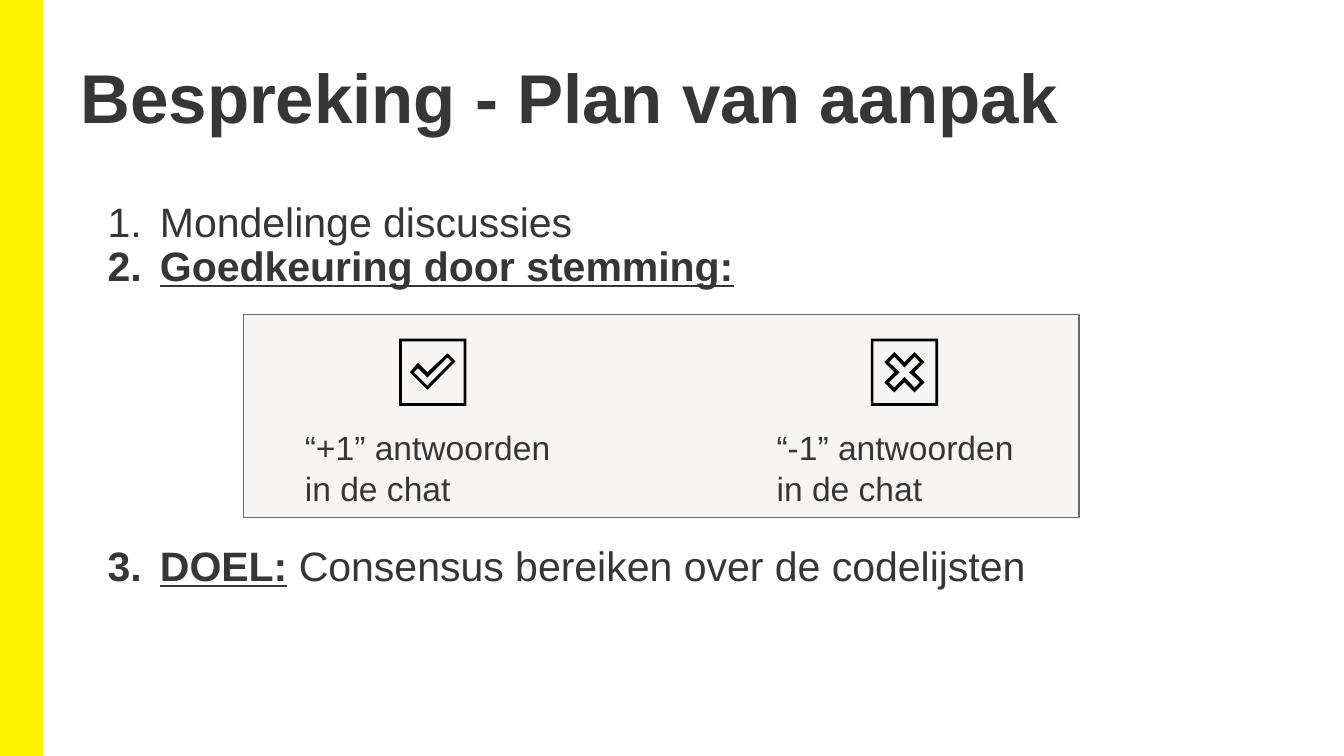
import pptx
import pptx.dml.color
import pptx.enum.shapes
import pptx.enum.text
import pptx.oxml
import pptx.oxml.ns
import pptx.util

UNIT = 0.1  # inches per grid column and row
COLUMNS, ROWS = 100, 56.25
FINE = 100  # drawing steps per grid unit
INK, YELLOW, PANEL, PANEL_EDGE, BLACK = "373636", "FFF200", "F6F5F3", "6B6B6B", "000000"


def grid(count):
    return pptx.util.Inches(count * UNIT)


def color(value):
    return pptx.dml.color.RGBColor.from_string(value)


def paint(shape, fill, edge=None, width=1):
    shape.shadow.inherit = False
    shape.fill.solid()
    shape.fill.fore_color.rgb = color(fill)
    if edge:
        shape.line.color.rgb = color(edge)
        shape.line.width = pptx.util.Pt(width)
    else:
        shape.line.fill.background()


def add_panel(slide, column, row, columns, rows, **look):
    panel = slide.shapes.add_shape(pptx.enum.shapes.MSO_SHAPE.RECTANGLE,
                                   *map(grid, (column, row, columns, rows)))
    paint(panel, **look)


def place(box, column, row, columns, rows):
    """Position a text box or placeholder and set its frame."""
    box.left, box.top, box.width, box.height = map(grid, (column, row, columns, rows))
    frame = box.text_frame
    frame.auto_size = pptx.enum.text.MSO_AUTO_SIZE.NONE
    frame.word_wrap = True
    frame.vertical_anchor = pptx.enum.text.MSO_ANCHOR.TOP
    frame.margin_left = frame.margin_right = grid(1)
    frame.margin_top = frame.margin_bottom = grid(1)
    return frame


def write(paragraph, text, size, bold=False, underline=False, spacing=None, before=0):
    paragraph.alignment = pptx.enum.text.PP_ALIGN.LEFT
    paragraph.space_before = pptx.util.Pt(before)
    if spacing:
        paragraph.line_spacing = spacing
    run = paragraph.add_run()
    run.text = text
    font = run.font
    font.name, font.size = "Arial", pptx.util.Pt(size)
    font.bold, font.underline = bold, underline
    font.color.rgb = color(INK)


def number(paragraph):
    """Turn the paragraph into an item of a numbered list."""
    properties = paragraph._p.get_or_add_pPr()
    properties.set("marL", str(grid(5)))
    properties.set("indent", str(-grid(3.9)))
    namespace = pptx.oxml.ns.nsdecls("a")
    for xml in (f'<a:buClr {namespace}><a:srgbClr val="{INK}"/></a:buClr>',
                f'<a:buFont {namespace} typeface="Arial"/>',
                f'<a:buAutoNum {namespace} type="arabicPeriod"/>'):
        properties.append(pptx.oxml.parse_xml(xml))


def square(inset):
    far = 5 - inset
    return [(inset, inset), (inset, far), (far, far), (far, inset)]


def cross(notch, tip_x, tip_y, side_x, side_y):
    """Repeat one arm of a diagonal cross in four quarter turns."""
    points = []
    arm = [(0, notch), (tip_x, tip_y), (side_x, side_y)]
    for _ in range(4):
        points += [(2.5 + x, 2.5 + y) for x, y in arm]
        arm = [(-y, x) for x, y in arm]
    return points


def add_icon(slide, column, row, symbol):
    """Draw a framed symbol, its contours given in grid units."""
    builder = None
    for points in [square(0), square(0.2)] + symbol:
        start, *rest = [((column + x) * FINE, (row + y) * FINE) for x, y in points]
        if builder is None:
            builder = slide.shapes.build_freeform(*start, scale=grid(1) / FINE)
        else:
            builder.move_to(*start)
        builder.add_line_segments(rest, close=True)
    paint(builder.convert_to_shape(), BLACK)


def add_choice(slide, column, label, symbol):
    add_icon(slide, column + 8, 25.2, symbol)
    box = slide.shapes.add_textbox(0, 0, 0, 0)
    frame = place(box, column, 30.8, 21, 7.7)
    write(frame.paragraphs[0], label, 18)


def add_agenda(body):
    frame = place(body, 5.9, 14, 88.2, 9.2)
    items = [
        (0, [("Mondelinge discussies", False)]),
        (0, [("Goedkeuring door stemming:", True)]),
        (137, [("DOEL:", True), (" Consensus bereiken over de codelijsten", False)]),
    ]
    for index, (before, parts) in enumerate(items):
        paragraph = frame.add_paragraph() if index else frame.paragraphs[0]
        number(paragraph)
        for text, strong in parts:
            write(paragraph, text, 22, bold=strong, underline=strong,
                  spacing=0.9, before=before)


def main():
    presentation = pptx.Presentation()
    presentation.slide_width, presentation.slide_height = grid(COLUMNS), grid(ROWS)
    slide = presentation.slides.add_slide(presentation.slide_layouts[1])

    add_panel(slide, 0, 0, 3.1, ROWS, fill=YELLOW, edge=YELLOW)
    add_panel(slide, 18.1, 23.4, 62.2, 15.1, fill=PANEL, edge=PANEL_EDGE, width=0.75)

    title = place(slide.shapes.title, 5, 2.9, 81.1, 9.2)
    write(title.paragraphs[0], "Bespreking - Plan van aanpak", 37, bold=True, spacing=1.03)
    add_agenda(slide.placeholders[1])

    check_mark = [
        [(4.2, 1.7), (3.6, 1.1), (2.1, 2.5), (1.4, 1.8), (0.8, 2.5), (2.1, 3.8)],
        [(1.4, 2.2), (2.1, 2.9), (3.6, 1.4), (3.9, 1.7), (2.1, 3.5), (1.1, 2.5)],
    ]
    cross_mark = [cross(0.75, -0.75, 1.5, -1.5, 0.75),
                  cross(0.35, -0.75, 1.15, -1.15, 0.75)]
    choices = [("“+1” antwoorden in de chat", check_mark),
               ("“-1” antwoorden in de chat", cross_mark)]
    for index, (label, symbol) in enumerate(choices):
        add_choice(slide, 21.7 + 35.1 * index, label, symbol)

    presentation.save("out.pptx")


if __name__ == "__main__":
    main()
